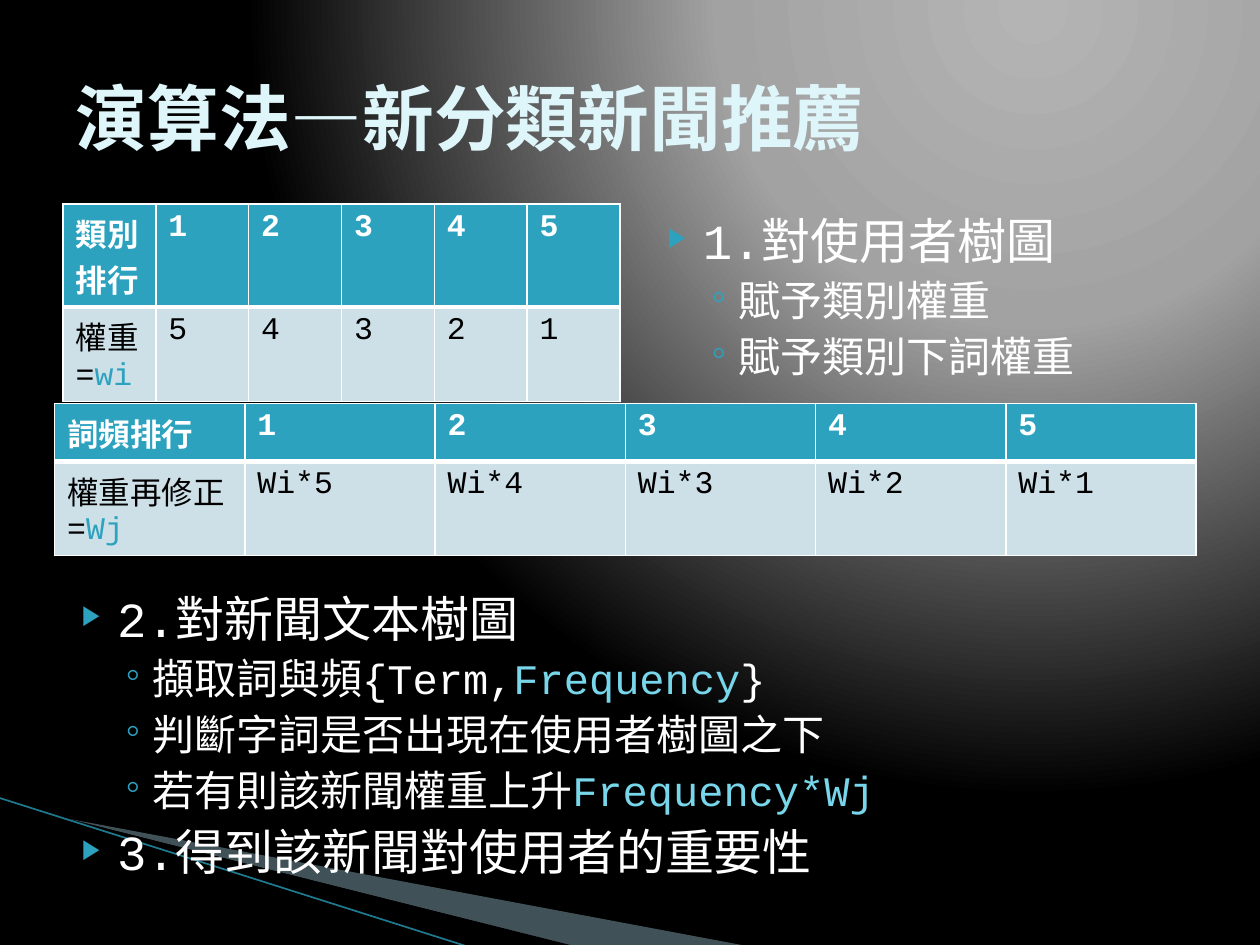
from lxml import etree
from pptx import Presentation
from pptx.dml.color import RGBColor
from pptx.enum.shapes import MSO_CONNECTOR
from pptx.enum.text import MSO_ANCHOR as Anchor, PP_ALIGN as Align
from pptx.oxml import parse_xml
from pptx.oxml.ns import nsdecls, qn
from pptx.util import Cm, Pt

FONT = "Courier New"
WHITE = RGBColor(0xFF, 0xFF, 0xFF)
BLACK = RGBColor(0, 0, 0)
TITLE = RGBColor(0xDE, 0xF5, 0xFA)
TEAL = RGBColor(0x2D, 0xA2, 0xBF)
AQUA = RGBColor(0x78, 0xD6, 0xEA)
PALE = RGBColor(0xCD, 0xE0, 0xE8)
WEDGE = RGBColor(0xA0, 0xCB, 0xDC)
EDGE = RGBColor(0x1F, 0x7A, 0x90)
GLOW = [(0, RGBColor(0xB4, 0xB4, 0xB4)), (40, RGBColor(0xA2, 0xA2, 0xA2)), (100, BLACK)]

# Outline levels: text size, space before, indent, hanging, bullet, bullet size in %
LEVELS = [
    dict(size=28, before=4, indent=1.02, hang=0.71, bullet="▶", scale=56),
    dict(size=24, before=3.2, indent=1.73, hang=0.64, bullet="◦", scale=100),
]


def add_run(p, text, **font):
    r = p.add_run()
    r.text = text
    color = font.pop("color")
    for name, value in dict(name=FONT, **font).items():
        setattr(r.font, name, value)
    r.font.color.rgb = color


def paint_background(slide):
    """Radial glow in the top right corner."""
    slide.background.fill.solid()
    bg = slide.element.find(".//" + qn("p:bgPr"))
    stops = "".join(f'<a:gs pos="{pos * 1000}"><a:srgbClr val="{color}"/></a:gs>'
                    for pos, color in GLOW)
    grad = parse_xml(
        f'<a:gradFill {nsdecls("a")} rotWithShape="1"><a:gsLst>{stops}</a:gsLst>'
        '<a:path path="circle"><a:fillToRect l="65000" t="0" r="0" b="98000"/></a:path>'
        '</a:gradFill>')
    bg.replace(bg.find(qn("a:solidFill")), grad)


def add_wedge(slide, points, color, alpha=100):
    start, *rest = [(Cm(x), Cm(y)) for x, y in points]
    builder = slide.shapes.build_freeform(*start)
    builder.add_line_segments(rest, close=True)
    sp = builder.convert_to_shape()
    sp.shadow.inherit = False
    sp.fill.solid()
    sp.fill.fore_color.rgb = color
    sp.line.fill.background()
    if alpha < 100:
        clr = sp.element.spPr.find(".//" + qn("a:srgbClr"))
        etree.SubElement(clr, qn("a:alpha"), val=str(alpha * 1000))


def add_corner(slide, bottom):
    """Swoosh in the bottom left corner, ending on the given bottom edge."""
    top = bottom - 2.57
    add_wedge(slide, [(1.4, top), (15.11, bottom), (11.58, bottom)], WEDGE, 40)
    add_wedge(slide, [(1.35, top), (11.61, bottom), (9.45, bottom)], BLACK)
    line = slide.shapes.add_connector(MSO_CONNECTOR.STRAIGHT, Cm(-0.03), Cm(bottom - 3),
                                      Cm(9.42), Cm(bottom))
    line.line.color.rgb = EDGE
    line.line.width = Pt(0.95)
    etree.SubElement(line.element.spPr, qn("a:effectLst"))


def place_title(slide, text, x, y, w, h):
    sp = slide.shapes.title
    for name, value in dict(left=x, top=y, width=w, height=h).items():
        setattr(sp, name, Cm(value))
    tf = sp.text_frame
    tf.vertical_anchor = Anchor.MIDDLE
    p = tf.paragraphs[0]
    p.alignment = Align.LEFT
    add_run(p, text, size=Pt(41), bold=True, color=TITLE)


def add_outline(slide, items, x, y, w, h):
    """Bulleted text; each item is a level followed by (text, color) runs."""
    tf = slide.shapes.add_textbox(Cm(x), Cm(y), Cm(w), Cm(h)).text_frame
    tf.word_wrap = True
    for i, (level, *runs) in enumerate(items):
        fmt = LEVELS[level]
        p = tf.add_paragraph() if i else tf.paragraphs[0]
        p.level = level
        p.space_before = Pt(fmt["before"])
        pPr = p._p.get_or_add_pPr()
        pPr.set("marL", str(Cm(fmt["indent"])))
        pPr.set("indent", str(-Cm(fmt["hang"])))
        color = etree.SubElement(pPr, qn("a:buClr"))
        etree.SubElement(color, qn("a:srgbClr"), val=str(TEAL))
        etree.SubElement(pPr, qn("a:buSzPct"), val=str(fmt["scale"] * 1000))
        etree.SubElement(pPr, qn("a:buFont"), typeface=FONT)
        etree.SubElement(pPr, qn("a:buChar"), char=fmt["bullet"])
        for text, color in runs:
            add_run(p, text, size=Pt(fmt["size"]), color=color)


def set_borders(cell, top, bottom):
    tcPr = cell._tc.get_or_add_tcPr()
    for i, (side, width) in enumerate(dict(lnL=1, lnR=1, lnT=top, lnB=bottom).items()):
        tcPr.insert(i, parse_xml(
            f'<a:{side} {nsdecls("a")} w="{Pt(width)}"><a:solidFill>'
            f'<a:srgbClr val="{WHITE}"/></a:solidFill></a:{side}>'))


def add_weights(slide, rank, label, symbol, weights, x, y, w, heights):
    """Table of ranks 1, 2, ... over their weights."""
    rows = [
        [[(rank, WHITE)]] + [[(str(n), WHITE)] for n in range(1, len(weights) + 1)],
        [[(label, BLACK), (symbol, TEAL)]] + [[(text, BLACK)] for text in weights],
    ]
    table = slide.shapes.add_table(len(rows), len(rows[0]), Cm(x), Cm(y), Cm(w),
                                   Cm(sum(heights))).table
    table.horz_banding = False
    for i, row in enumerate(rows):
        table.rows[i].height = Cm(heights[i])
        header = i == 0
        for j, runs in enumerate(row):
            cell = table.cell(i, j)
            cell.fill.solid()
            cell.fill.fore_color.rgb = TEAL if header else PALE
            set_borders(cell, *((1, 3) if header else (3, 1)))
            for text, color in runs:
                add_run(cell.text_frame.paragraphs[0], text, size=Pt(18),
                        bold=header, color=color)


def main():
    prs = Presentation()
    prs.slide_width, prs.slide_height = Cm(25.4), Cm(19.05)
    slide = prs.slides.add_slide(prs.slide_layouts.get_by_name("Title Only"))
    paint_background(slide)
    add_corner(slide, 19.08)
    place_title(slide, "演算法—新分類新聞推薦", 1.27, 0.76, 22.86, 3.18)
    add_outline(slide, [
        (0, ("1.對使用者樹圖", WHITE)),
        (1, ("賦予類別權重", WHITE)),
        (1, ("賦予類別下詞權重", WHITE)),
    ], 12.9, 4.11, 11.23, 3.81)
    add_weights(slide, "類別排行", "權重=", "wi", ["5", "4", "3", "2", "1"],
                1.27, 4.11, 11.23, [2.08, 1.9])
    add_weights(slide, "詞頻排行", "權重再修正=", "Wj", [f"Wi*{n}" for n in range(5, 0, -1)],
                1.1, 8.13, 23.01, [1.17, 1.9])
    add_outline(slide, [
        (0, ("2.對新聞文本樹圖", WHITE)),
        (1, ("擷取詞與頻{Term,", WHITE), ("Frequency", AQUA), ("}", WHITE)),
        (1, ("判斷字詞是否出現在使用者樹圖之下", WHITE)),
        (1, ("若有則該新聞權重上升", WHITE), ("Frequency*Wj", AQUA)),
        (0, ("3.得到該新聞對使用者的重要性", WHITE)),
    ], 1.09, 11.73, 23.01, 5.99)
    prs.save("out.pptx")


if __name__ == "__main__":
    main()
